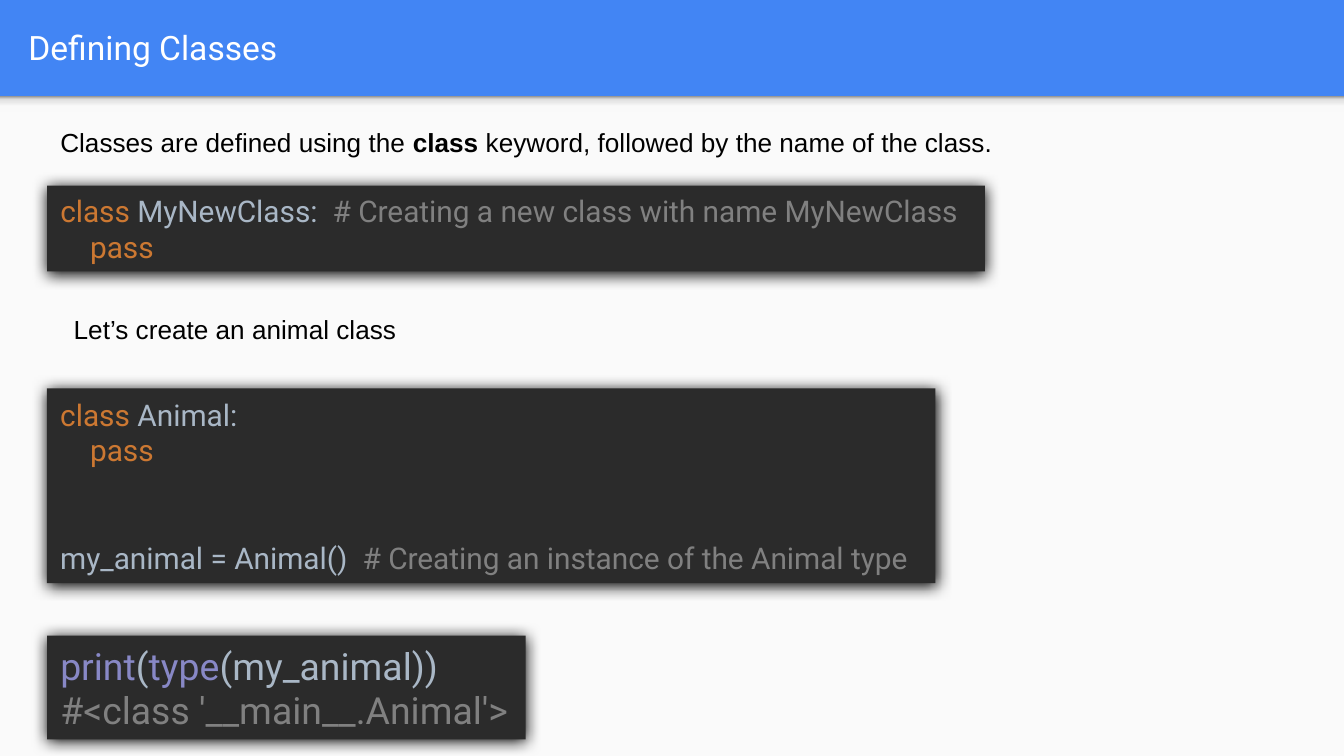
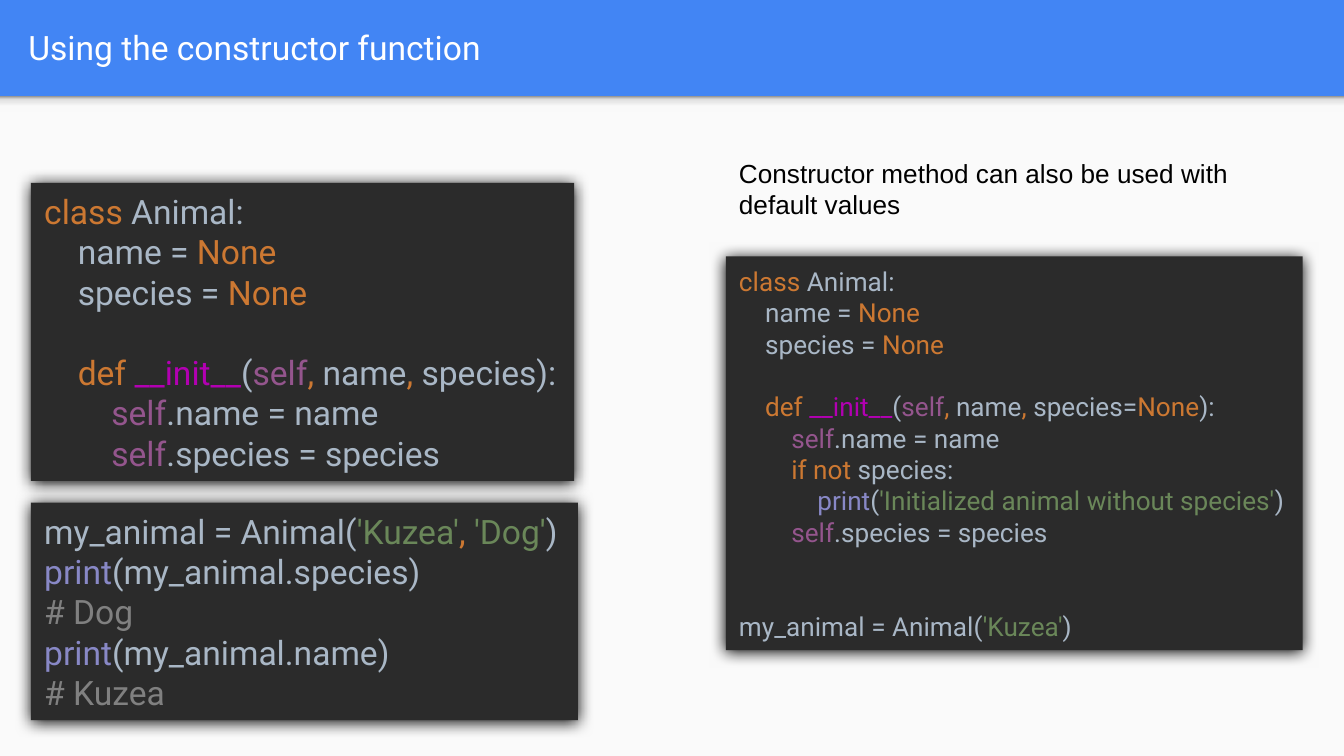
from lxml.etree import SubElement
from pptx import Presentation
from pptx.dml.color import RGBColor
from pptx.enum.shapes import MSO_SHAPE as Preset
from pptx.enum.text import MSO_ANCHOR as Anchor, MSO_AUTO_SIZE as AutoSize, PP_ALIGN as Align
from pptx.oxml import parse_xml
from pptx.oxml.ns import nsdecls, qn
from pptx.util import Pt

COLORS = {
    "band": "4285F4", "page": "FAFAFA", "title": "FFFFFF", "prose": "000000",
    "editor": "2B2B2B", "shadow": "000000",
    "keyword": "CC7832", "plain": "A9B7C6", "comment": "808080",
    "builtin": "8888C6", "self": "94558D", "magic": "B200B2", "string": "6A8759",
}
BAND_SHADE = [(0, "F9F9F9"), (36, "F9F9F9"), (80, "DEDEDE"), (100, "999999")]
SLIDE_W, SLIDE_H = 720, 405
BAND_H, SHADE_H = 51.6, 8.4
TITLE_BOX = (8, 1.5, 695, 47.5)
TITLE_SIZE, PROSE_SIZE = 18, 14
LINE_HEIGHT = 1.2
CODE_FONT, PROSE_FONT = "Roboto", "Arial"


def line(*tokens, depth=0, blanks=0):
    return {"tokens": tokens, "depth": depth, "blanks": blanks}


CLASS_ANIMAL = line(("class ", "keyword"), ("Animal:", "plain"))
PASS = line(("pass", "keyword"), depth=1)
ANIMAL_FIELDS = [
    CLASS_ANIMAL,
    line(("name = ", "plain"), ("None", "keyword"), depth=1),
    line(("species = ", "plain"), ("None", "keyword"), depth=1),
]
INIT_START = [
    ("def ", "keyword"), ("__init__", "magic"), ("(", "plain"), ("self", "self"),
    (", ", "keyword"), ("name", "plain"), (", ", "keyword"),
]
SET_NAME = line(("self", "self"), (".name = name", "plain"), depth=2)
SET_SPECIES = line(("self", "self"), (".species = species", "plain"), depth=2)

SLIDES = [
    {
        "title": "Defining Classes",
        "prose": [
            ((25.2, 64, 652, 58), [
                ("Classes are defined using the ", False), ("class ", True),
                ("keyword, followed by the name of the class.", False),
            ]),
            ((32.4, 164.2, 536, 24.5), [("Let’s create an animal class", False)]),
        ],
        "code": [
            ((25.2, 99.4, 502.5, 46), 16, [
                line(("class ", "keyword"), ("MyNewClass:  ", "plain"),
                     ("# Creating a new class with name MyNewClass", "comment")),
                PASS,
            ]),
            ((25.2, 208.1, 476, 104.3), 16, [
                CLASS_ANIMAL,
                PASS,
                line(("my_animal = Animal()  ", "plain"),
                     ("# Creating an instance of the Animal type", "comment"), blanks=2),
            ]),
            ((25.2, 340.6, 256.4, 55.5), 20, [
                line(("print", "builtin"), ("(", "plain"), ("type", "builtin"),
                     ("(my_animal))", "plain")),
                line(("#<class '__main__.Animal'>", "comment")),
            ]),
        ],
    },
    {
        "title": "Using the constructor function",
        "prose": [
            ((388.8, 80.6, 304, 41),
             [("Constructor method can also be used with default values", False)]),
        ],
        "code": [
            ((16.6, 97.9, 291, 159.8), 18, [
                *ANIMAL_FIELDS,
                line(*INIT_START, ("species):", "plain"), depth=1, blanks=1),
                SET_NAME,
                SET_SPECIES,
            ]),
            ((16.6, 269.3, 293, 116.6), 18, [
                line(("my_animal = Animal(", "plain"), ("'Kuzea'", "string"),
                     (", ", "keyword"), ("'Dog'", "string"), (")", "plain")),
                line(("print", "builtin"), ("(my_animal.species)", "plain")),
                line(("# Dog", "comment")),
                line(("print", "builtin"), ("(my_animal.name)", "plain")),
                line(("# Kuzea", "comment")),
            ]),
            ((388.8, 137.4, 309, 211), 14, [
                *ANIMAL_FIELDS,
                line(*INIT_START, ("species=", "plain"), ("None", "keyword"),
                     ("):", "plain"), depth=1, blanks=1),
                SET_NAME,
                line(("if not ", "keyword"), ("species:", "plain"), depth=2),
                line(("print", "builtin"), ("(", "plain"),
                     ("'Initialized animal without species'", "string"),
                     (")", "plain"), depth=3),
                SET_SPECIES,
                line(("my_animal = Animal(", "plain"), ("'Kuzea'", "string"),
                     (")", "plain"), blanks=2),
            ]),
        ],
    },
]


def color(role):
    return RGBColor.from_string(COLORS[role])


def points(box):
    return [Pt(length) for length in box]


def set_font(font, name, size, role=None):
    font.name, font.size = name, Pt(size)
    if role:
        font.color.rgb = color(role)


def add_panel(slide, box, role):
    panel = slide.shapes.add_shape(Preset.RECTANGLE, *points(box))
    panel.shadow.inherit = False
    panel.line.fill.background()
    if role:
        panel.fill.solid()
        panel.fill.fore_color.rgb = color(role)
    return panel


def decorate_layout(layout, slide):
    layout.background.fill.solid()
    layout.background.fill.fore_color.rgb = color("band")
    page = add_panel(slide, (0, BAND_H, SLIDE_W, SLIDE_H - BAND_H), "page")
    shade = add_panel(slide, (0, BAND_H, SLIDE_W, SHADE_H), None)
    stops = "".join(
        f'<a:gs pos="{position * 1000}"><a:srgbClr val="{value}"/></a:gs>'
        for position, value in BAND_SHADE)
    shade._element.spPr.insert(2, parse_xml(
        f'<a:gradFill {nsdecls("a")}><a:gsLst>{stops}</a:gsLst>'
        '<a:lin ang="16200000" scaled="0"/></a:gradFill>'))
    for place, part in enumerate((page, shade), start=2):
        layout.shapes._spTree.insert(place, part._element)
    title = layout.placeholders[0]
    title.left, title.top, title.width, title.height = points(TITLE_BOX)


def write_title(slide, text):
    title = slide.shapes.title
    title.text = text
    frame = title.text_frame
    frame.vertical_anchor = Anchor.MIDDLE
    frame.margin_left = frame.margin_right = frame.margin_top = frame.margin_bottom = Pt(7.2)
    frame.paragraphs[0].alignment = Align.LEFT
    set_font(frame.paragraphs[0].font, CODE_FONT, TITLE_SIZE, "title")


def add_prose(slide, box, phrases):
    frame = slide.shapes.add_textbox(*points(box)).text_frame
    frame.word_wrap = True
    paragraph = frame.paragraphs[0]
    set_font(paragraph.font, PROSE_FONT, PROSE_SIZE, "prose")
    for text, bold in phrases:
        run = paragraph.add_run()
        run.text = text
        if bold:
            run.font.bold = True


def add_editor(slide, box, size, lines):
    editor = add_panel(slide, box, "editor")
    effects = editor._element.spPr.find(qn("a:effectLst"))
    shadow = SubElement(effects, qn("a:outerShdw"), blurRad=str(Pt(8.5)), dist=str(Pt(1)),
                        dir="5400000", algn="ctr", rotWithShape="0")
    SubElement(shadow, qn("a:srgbClr"), val=COLORS["shadow"])
    frame = editor.text_frame
    frame.word_wrap = False
    frame.auto_size = AutoSize.SHAPE_TO_FIT_TEXT
    frame.vertical_anchor = Anchor.MIDDLE
    for index, code in enumerate(lines):
        paragraph = frame.add_paragraph() if index else frame.paragraphs[0]
        paragraph.alignment = Align.LEFT
        set_font(paragraph.font, CODE_FONT, size)
        if code["depth"]:
            paragraph._p.get_or_add_pPr().set("marL", str(Pt(size * code["depth"])))
        if code["blanks"]:
            paragraph.space_before = Pt(round(size * LINE_HEIGHT * code["blanks"], 1))
        for text, role in code["tokens"]:
            run = paragraph.add_run()
            run.text = text
            run.font.color.rgb = color(role)


def main():
    deck = Presentation()
    deck.slide_width, deck.slide_height = Pt(SLIDE_W), Pt(SLIDE_H)
    layout = deck.slide_layouts[5]
    for index, content in enumerate(SLIDES):
        slide = deck.slides.add_slide(layout)
        if index == 0:
            decorate_layout(layout, slide)
        write_title(slide, content["title"])
        for box, phrases in content["prose"]:
            add_prose(slide, box, phrases)
        for box, size, lines in content["code"]:
            add_editor(slide, box, size, lines)
    deck.save("out.pptx")


if __name__ == "__main__":
    main()
